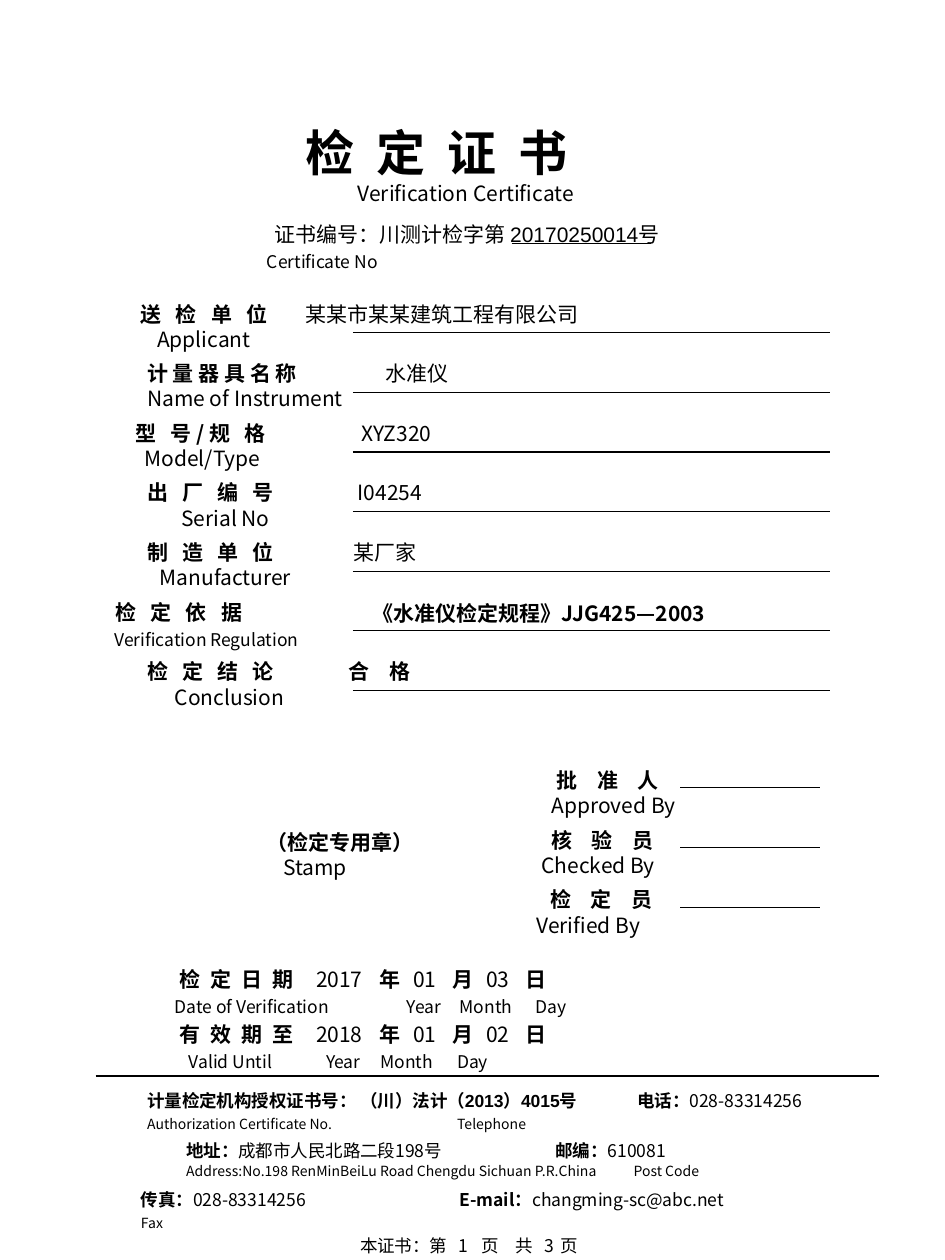
"""Build a bilingual verification certificate page."""
import dataclasses

import lxml.etree
import pptx
import pptx.dml.color
import pptx.enum.shapes
import pptx.enum.text
import pptx.oxml.ns
import pptx.util

Inches = pptx.util.Inches
Pt = pptx.util.Pt
qn = pptx.oxml.ns.qn


@dataclasses.dataclass(frozen=True)
class Theme:
    ink = pptx.dml.color.RGBColor(0, 0, 0)
    sans = "Noto Sans CJK SC"
    latin = "Arial"
    thin = 0.75
    thick = 1.5
    inset = 0.1
    lead = 1.2
    fonts = {
        "big": {"size": Pt(28), "bold": True, "name": sans},
        "head": {"size": Pt(12), "bold": True, "name": sans},
        "body": {"size": Pt(12), "bold": False, "name": sans},
        "plain": {"size": Pt(12), "bold": False, "name": latin},
        "mark": {"size": Pt(12), "bold": True, "name": latin},
        "sub": {"size": Pt(10), "bold": False, "name": sans},
        "label": {"size": Pt(10), "bold": True, "name": sans},
        "code": {"size": Pt(10), "bold": True, "name": latin},
        "page": {"size": Pt(10), "bold": False, "name": latin},
        "tiny": {"size": Pt(8), "bold": False, "name": sans},
    }


THEME = Theme()


def apply(item, values):
    for key, value in values.items():
        setattr(item, key, value)


def add_run(para, style, text, gap=0):
    run = para.add_run()
    run.text = text
    apply(run.font, THEME.fonts[style])
    run.font.color.rgb = THEME.ink
    props = run.font._element
    lxml.etree.SubElement(props, qn("a:ea")).set("typeface", THEME.sans)
    if gap:
        props.set("spc", str(round(gap * 100)))


def add_line(para, start, cells, size):
    para.line_spacing = Pt(size * THEME.lead)
    props = para._p.get_or_add_pPr()
    stops = [max(0, Inches(cell[0] - start)) for cell in cells]
    if len(cells) == 1:
        props.set("marL", str(stops[0]))
        props.set("indent", "0")
    else:
        tabs = lxml.etree.SubElement(props, qn("a:tabLst"))
        for stop in filter(None, stops):
            tab = lxml.etree.SubElement(tabs, qn("a:tab"))
            tab.set("pos", str(stop))
            tab.set("algn", "l")
    for stop, (_, *runs) in zip(stops, cells):
        for index, (style, text, *gap) in enumerate(runs):
            lead = "\t" if stop and len(cells) > 1 and not index else ""
            add_run(para, style, lead + text, *gap)


def add_text(slide, left, top, width, high, lines, sizes=(12, 12)):
    box = slide.shapes.add_textbox(*map(Inches, (left, top, width, high)))
    frame = box.text_frame
    apply(frame, {
        "word_wrap": True,
        "auto_size": pptx.enum.text.MSO_AUTO_SIZE.SHAPE_TO_FIT_TEXT,
        "margin_left": Inches(THEME.inset),
        "margin_right": Inches(THEME.inset),
        "margin_top": Inches(0.07),
        "margin_bottom": Inches(0.03),
    })
    for index, (cells, size) in enumerate(zip(lines, sizes)):
        para = frame.add_paragraph() if index else frame.paragraphs[0]
        add_line(para, left + THEME.inset, cells, size)


def add_rule(slide, left, right, top, weight=THEME.thin):
    kind = pptx.enum.shapes.MSO_CONNECTOR.STRAIGHT
    rule = slide.shapes.add_connector(
        kind, Inches(left), Inches(top), Inches(right), Inches(top))
    rule.line.color.rgb = THEME.ink
    rule.line.width = Pt(weight)
    lxml.etree.SubElement(rule._element.spPr, qn("a:effectLst"))


def add_title(slide):
    add_text(slide, 2.33, 0.9, 3.7, 0.77, [
        [(2.43, ("big", "检 定 证 书", 3.15))],
        [(2.84, ("body", "Verification Certificate"))]], (28, 12))
    add_text(slide, 1.94, 1.69, 4.02, 0.5, [
        [(2.18, ("plain", "证书编号：川测计检字第 20170250014号"))],
        [(2.12, ("sub", "Certificate No"))]])
    add_rule(slide, 4.06, 5.17, 1.93)


def add_fields(slide):
    model = [("head", "型 ", 2.7), ("head", "号 / "),
             ("head", "规 ", 2.7), ("head", "格")]
    basis = ("head", "《水准仪检定规程》JJG425—2003")
    rows = [
        (0.99, 1.12, [("head", "送 检 单 位", 2.7)],
         2.43, ("plain", "某某市某某建筑工程有限公司"), 1.25, "Applicant"),
        (1.07, 1.17, [("head", "计 量 器 具 名 称")],
         3.06, ("plain", "水准仪"), 1.17, "Name of Instrument"),
        (0.91, 1.08, model, 2.87, ("body", "XYZ320"), 1.15, "Model/Type"),
        (1.07, 1.17, [("head", "出 厂 编 号", 2.7)],
         2.84, ("body", "I04254"), 1.44, "Serial No"),
        (1.07, 1.17, [("head", "制 造 单 位", 2.7)],
         2.81, ("body", "某厂家"), 1.27, "Manufacturer"),
        (0.6, 0.92, [("head", "检 定 依 据", 2.7)],
         None, None, 0.91, "Verification Regulation"),
        (1.07, 1.17, [("head", "检 定 结 论", 2.7)],
         2.77, ("head", "合 格", 4.2), 1.39, "Conclusion"),
    ]
    for index, (left, start, name, mid, value, sub, text) in enumerate(rows):
        top = 2.32 + 0.4733 * index
        cells = [(start, *name)] + ([(mid, value)] if value else [])
        style = "body" if value else "sub"
        width = 5.3 if value else 2.91
        add_text(slide, left, top, width, 0.5,
                 [cells, [(sub, (style, text))]])
        add_rule(slide, 2.8, 6.59, top + 0.32)
    add_text(slide, 2.86, 4.7, 3, 0.3, [[(2.96, basis)]])


def add_signs(slide):
    add_text(slide, 2.02, 6.51, 1.4, 0.5, [
        [(2.12, ("mark", "（检定专用章）"))], [(2.25, ("body", "Stamp"))]])
    rows = [
        (4.22, 4.42, "批 准 人", 4.38, "Approved By"),
        (4.06, 4.38, "核 验 员", 4.3, "Checked By"),
        (3.99, 4.37, "检 定 员", 4.26, "Verified By"),
    ]
    for index, (left, start, name, sub, text) in enumerate(rows):
        top = 6.02 + 0.475 * index
        add_text(slide, left, top, 1.5, 0.5, [
            [(start, ("mark", name, 4.2))], [(sub, ("body", text))]])
        add_rule(slide, 5.4, 6.51, top + 0.23)


def add_dates(slide):
    stops = (2.51, 3.01, 3.28, 3.59, 3.86, 4.17)
    rows = [
        (7.6, "检 定 日 期", ("2017", "年", "01", "月", "03", "日"),
         "Date of Verification", (1.39, 3.23, 3.65, 4.25)),
        (8.04, "有 效 期 至", ("2018", "年", "01", "月", "02", "日"),
         "Valid Until", (1.5, 2.59, 3.02, 3.63)),
    ]
    for top, name, parts, text, subs in rows:
        cells = [(1.43, ("head", name, 1.5))]
        for stop, part in zip(stops, parts):
            style = "body" if part.isdigit() else "head"
            cells.append((stop, (style, part)))
        words = (text, "Year", "Month", "Day")
        notes = [(x, ("sub", word)) for x, word in zip(subs, words)]
        add_text(slide, 1.15, top, 5.12, 0.5, [cells, notes])


def add_foot(slide):
    add_rule(slide, 0.76, 6.98, 8.54, THEME.thick)
    add_text(slide, 1.07, 8.58, 5.67, 0.44, [
        [(1.17, ("label", "计量检定机构授权证书号： "),
          ("code", "（川）法计（2013）4015号")),
         (5.06, ("label", "电话："), ("sub", "028-83314256"))],
        [(1.17, ("tiny", "Authorization Certificate No.")),
         (3.63, ("tiny", "Telephone"))]], (10, 10))
    add_text(slide, 1.38, 8.98, 4.5, 0.4, [
        [(1.48, ("label", "地址："), ("sub", "成都市人民北路二段198号")),
         (4.41, ("label", "邮编："), ("sub", "610081"))],
        [(1.48, ("tiny", "Address:No.198 RenMinBeiLu Road "
                 "Chengdu Sichuan P.R.China")),
         (5.03, ("tiny", "Post Code"))]], (10, 8.5))
    add_text(slide, 0.99, 9.37, 6.51, 0.44, [
        [(1.12, ("label", "传真："), ("sub", "028-83314256")),
         (3.65, ("label", "E-mail："), ("sub", "changming-sc@abc.net"))],
        [(1.12, ("tiny", "Fax"))]], (10, 10))
    add_text(slide, 2.76, 9.73, 2.1, 0.27, [
        [(2.86, ("page", "本证书：第")), (3.64, ("sub", "1")),
         (3.82, ("page", "页")), (4.09, ("page", "共")),
         (4.32, ("sub", "3")), (4.45, ("page", "页"))]], (10,))


def main():
    deck = pptx.Presentation()
    apply(deck, {"slide_width": Inches(7.5), "slide_height": Inches(10)})
    slide = deck.slides.add_slide(deck.slide_layouts[6])
    for part in (add_title, add_fields, add_signs, add_dates, add_foot):
        part(slide)
    deck.save("out.pptx")


if __name__ == "__main__":
    main()
